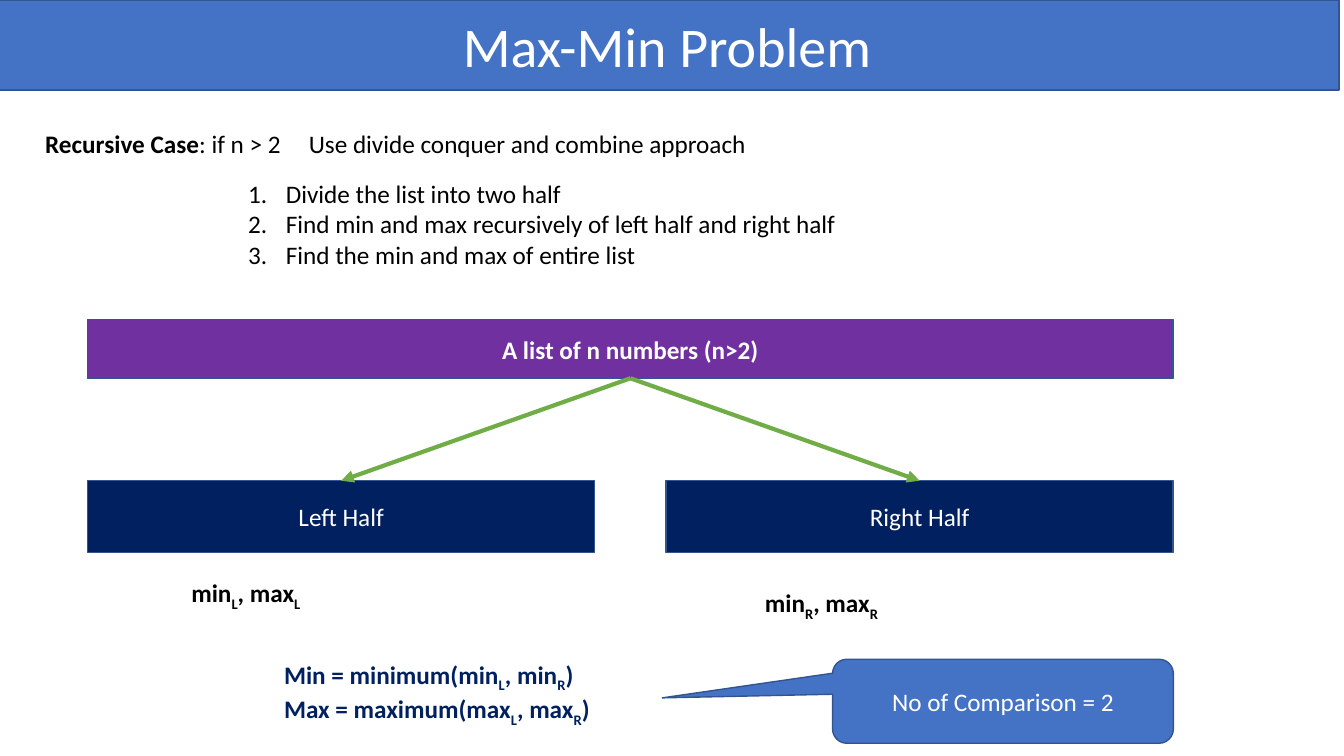
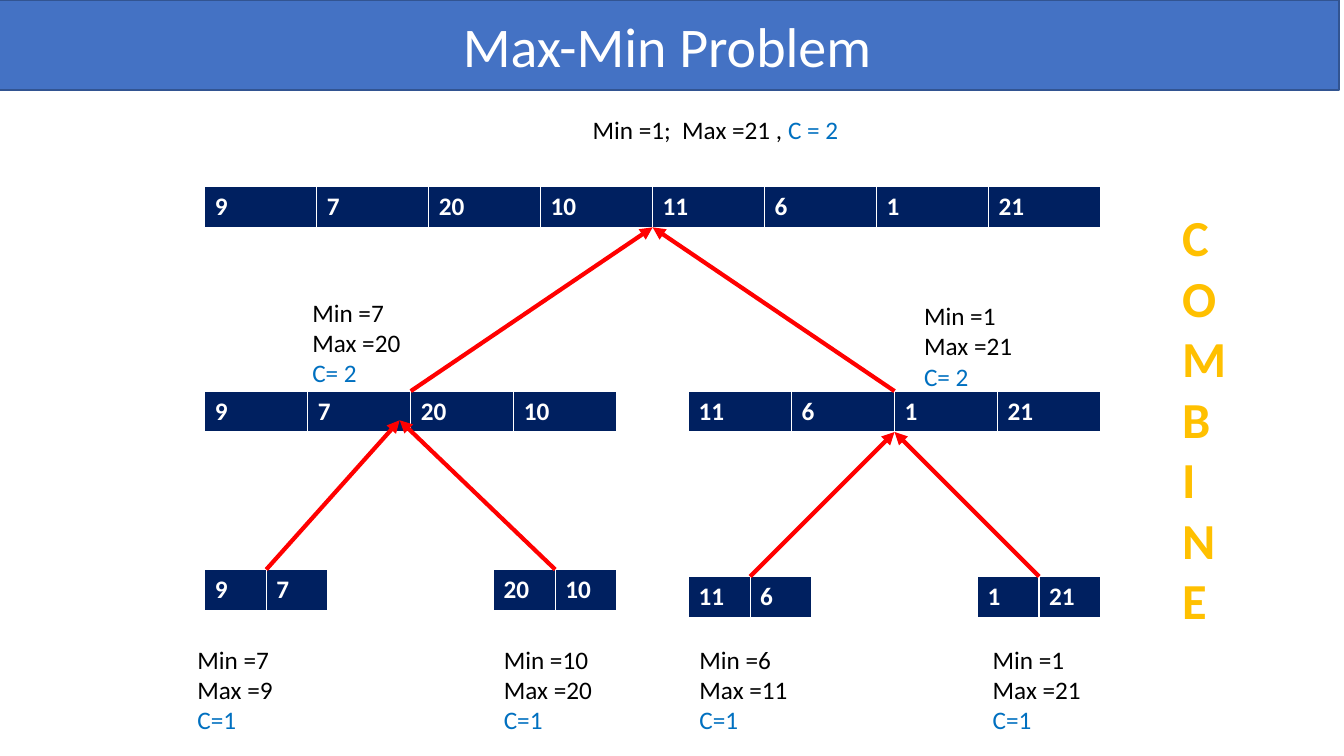
from dataclasses import dataclass

from lxml.etree import SubElement
from pptx import Presentation
from pptx.dml.color import RGBColor
from pptx.enum.shapes import MSO_CONNECTOR, MSO_SHAPE
from pptx.enum.text import MSO_ANCHOR, MSO_AUTO_SIZE, PP_ALIGN
from pptx.oxml.ns import qn
from pptx.util import Pt

BLUE = RGBColor(0x44, 0x72, 0xC4)
EDGE = RGBColor(0x32, 0x54, 0x91)
NAVY = RGBColor(0x00, 0x20, 0x60)
PURPLE = RGBColor(0x70, 0x30, 0xA0)
GREEN = RGBColor(0x70, 0xAD, 0x47)
RED = RGBColor(0xFF, 0x00, 0x00)
GOLD = RGBColor(0xFF, 0xC0, 0x00)
COUNT = RGBColor(0x00, 0x70, 0xC0)
BLACK = RGBColor(0x00, 0x00, 0x00)
WHITE = RGBColor(0xFF, 0xFF, 0xFF)
FONT = "Calibri"
SLIDE_W, SLIDE_H = 960, 540
ROW_H = 29.2
Point = tuple[float, float]


@dataclass(frozen=True)
class Run:
    """A stretch of text that departs from its paragraph's format."""
    text: str
    color: RGBColor | None = None
    bold: bool | None = None
    sub: bool = False


@dataclass(frozen=True)
class Box:
    """A rectangle in points."""
    x: float
    y: float
    w: float
    h: float

    @property
    def top(self) -> Point:
        """Middle of the upper edge."""
        return self.x + self.w / 2, self.y

    @property
    def bottom(self) -> Point:
        """Middle of the lower edge."""
        return self.x + self.w / 2, self.y + self.h

    def lengths(self) -> tuple:
        """Position and size as lengths."""
        return Pt(self.x), Pt(self.y), Pt(self.w), Pt(self.h)


@dataclass(frozen=True)
class Node:
    """One list of numbers in the recursion tree."""
    x: float
    y: float
    col_w: float
    values: tuple[int, ...]

    @property
    def box(self) -> Box:
        """The area its table covers."""
        return Box(self.x, self.y, self.col_w * len(self.values), ROW_H)


@dataclass(frozen=True)
class Result:
    """The minimum, maximum and comparison count beside a node."""
    x: float
    y: float
    low: int
    high: int
    count: str


def write(tf, paras: list, *, size: float = 18, color: RGBColor = BLACK,
          bold: bool = False, align: PP_ALIGN | None = None) -> None:
    """Fill a text frame with paragraphs of strings or runs."""
    tf.word_wrap = True
    for i, para in enumerate(paras):
        p = tf.paragraphs[0] if i == 0 else tf.add_paragraph()
        p.space_before = Pt(0)
        if align is not None:
            p.alignment = align
        for part in [para] if isinstance(para, str) else para:
            part = Run(part) if isinstance(part, str) else part
            r = p.add_run()
            r.text = part.text
            r.font.name = FONT
            r.font.size = Pt(size)
            r.font.bold = bold if part.bold is None else part.bold
            r.font.color.rgb = part.color or color
            if part.sub:
                r.font._element.set("baseline", "-25000")


def add_text(s, box: Box, paras: list, **fmt):
    """Add a text box and return its frame."""
    tf = s.shapes.add_textbox(*box.lengths()).text_frame
    write(tf, paras, **fmt)
    return tf


def paint(sp, fill: RGBColor) -> None:
    """Give a shape its fill and the shared outline."""
    sp.fill.solid()
    sp.fill.fore_color.rgb = fill
    sp.line.color.rgb = EDGE
    sp.line.width = Pt(1)


def add_box(s, box: Box, text: str, fill: RGBColor, *, bold: bool = False,
            kind: MSO_SHAPE = MSO_SHAPE.RECTANGLE):
    """Add a filled shape with centred text."""
    sp = s.shapes.add_shape(kind, *box.lengths())
    sp.shadow.inherit = False
    paint(sp, fill)
    sp.text_frame.vertical_anchor = MSO_ANCHOR.MIDDLE
    write(sp.text_frame, [text], color=WHITE, bold=bold, align=PP_ALIGN.CENTER)
    return sp


def add_arrow(s, start: Point, end: Point, color: RGBColor) -> None:
    """Add a straight arrow between two points."""
    cx = s.shapes.add_connector(MSO_CONNECTOR.STRAIGHT, *map(Pt, start + end))
    cx.line.color.rgb = color
    cx.line.width = Pt(3)
    SubElement(cx.line._get_or_add_ln(), qn("a:tailEnd"), type="triangle")
    SubElement(cx._element.spPr, qn("a:effectLst"))


def add_node(s, node: Node) -> None:
    """Draw a node as a one-row table."""
    frame = s.shapes.add_table(1, len(node.values), *node.box.lengths())
    table = frame.table
    for col, cell, value in zip(table.columns, table.rows[0].cells, node.values):
        col.width = Pt(node.col_w)
        cell.fill.solid()
        cell.fill.fore_color.rgb = NAVY
        write(cell.text_frame, [str(value)], color=WHITE, bold=True)


def add_result(s, res: Result) -> None:
    """Write the result of one call."""
    add_text(s, Box(res.x, res.y, 100, 72.7),
             [f"Min ={res.low}", f"Max ={res.high}", [Run(res.count, COUNT)]])


def place(sp, box: Box) -> None:
    """Move and size a placeholder."""
    sp.left, sp.top, sp.width, sp.height = box.lengths()
    sp.text_frame.auto_size = MSO_AUTO_SIZE.NONE


def new_slide(prs, layout: int):
    """Add a slide with the shared title band."""
    s = prs.slides.add_slide(prs.slide_layouts[layout])
    title = s.shapes.title
    place(title, Box(-3.6, 0, SLIDE_W, 64.4))
    paint(title, BLUE)
    title.text_frame.vertical_anchor = MSO_ANCHOR.MIDDLE
    write(title.text_frame, ["Max-Min Problem"], size=40, color=WHITE,
          align=PP_ALIGN.CENTER)
    return s


def pair(first: str, second: str, left: str, right: str) -> list:
    """Two names with subscripts, separated by a comma."""
    return [first, Run(left, sub=True), f", {second}", Run(right, sub=True)]


def recursion_slide(prs) -> None:
    """Explain the recursive case."""
    s = new_slide(prs, 1)
    tf = add_text(s, Box(25.2, 87.8, 740, 30), [
        [Run("Recursive Case", bold=True),
         ": if n > 2\tUse divide conquer and combine approach"]])
    tabs = SubElement(tf.paragraphs[0]._p.get_or_add_pPr(), qn("a:tabLst"))
    SubElement(tabs, qn("a:tab"), pos=str(Pt(188.3)), algn="l")

    body = s.placeholders[1]
    place(body, Box(170, 123.8, 579, 72.7))
    write(body.text_frame, [
        "Divide the list into two half",
        "Find min and max recursively of left half and right half",
        "Find the min and max of entire list"])
    for p in body.text_frame.paragraphs:
        pPr = p._p.get_or_add_pPr()
        pPr.set("marL", str(Pt(27)))
        pPr.set("indent", str(-Pt(27)))
        SubElement(pPr, qn("a:buFont"), typeface="+mj-lt")
        SubElement(pPr, qn("a:buAutoNum"), type="arabicPeriod")

    whole = Box(62.6, 228.4, 775.4, 41.8)
    half_w = 362.2
    add_box(s, whole, "A list of n numbers (n>2)", PURPLE, bold=True)
    halves = {"Left Half": whole.x, "Right Half": whole.x + whole.w - half_w}
    for text, x in halves.items():
        half = Box(x, 343.4, half_w, 51.1)
        add_box(s, half, text, NAVY)
        add_arrow(s, whole.bottom, half.top, GREEN)

    for side, x, y in (("L", 129.6, 409), ("R", 539.3, 416.2)):
        add_text(s, Box(x, y, 200, 29), [pair("min", "max", side, side)], bold=True)
    add_text(s, Box(195.8, 467.3, 325, 51), [
        [f"{name} = {call}(", *pair(arg, arg, "L", "R"), ")"]
        for name, call, arg in (("Min", "minimum", "min"), ("Max", "maximum", "max"))
    ], color=NAVY, bold=True)
    callout = add_box(s, Box(594.7, 470.9, 243.4, 60), "No of Comparison = 2", BLUE,
                      kind=MSO_SHAPE.ROUNDED_RECTANGULAR_CALLOUT)
    for i, value in enumerate((-1, -0.04, 0.17)):
        callout.adjustments[i] = value


def combine_slide(prs) -> None:
    """Show the results travelling up the recursion tree."""
    s = new_slide(prs, 5)
    values = (9, 7, 20, 10, 11, 6, 1, 21)
    left_x, right_x, half_col, leaf_col = 146.2, 491.8, 73.6, 44
    inner = half_col * 4 - leaf_col * 2
    root = Node(left_x, 133.2, 80, values)
    left = Node(left_x, 279.4, half_col, values[:4])
    right = Node(right_x, 279.4, half_col, values[4:])
    leaves = [Node(x + dx, y, leaf_col, values[i:i + 2])
              for i, (x, dx, y) in zip(range(0, 8, 2), (
                  (left_x, 0, 406.8), (left_x, inner, 406.8),
                  (right_x, 0, 411.8), (right_x, inner, 411.8)))]
    for node in (root, left, right, *leaves):
        add_node(s, node)

    left_tip = (285.5, 300.2)
    tips = [root.box.bottom] * 2 + [left_tip] * 2 + [right.box.bottom] * 2
    for node, tip in zip((left, right, *leaves), tips):
        add_arrow(s, node.box.top, tip, RED)

    add_text(s, Box(837.4, 144, 67.7, 312.5), list("COMBINE"),
             size=36, color=GOLD, bold=True)
    for res in (Result(133.9, 456.5, 7, 9, "C=1"),
                Result(352.8, 456.5, 10, 20, "C=1"),
                Result(492.5, 456.5, 6, 11, "C=1"),
                Result(702, 456.5, 1, 21, "C=1"),
                Result(653, 211, 1, 21, "C= 2"),
                Result(216, 208.8, 7, 20, "C= 2")):
        add_result(s, res)
    add_text(s, Box(416.2, 77.8, 273, 29),
             [["Min =1;  Max =21 , ", Run("C = 2", COUNT)]])


def main() -> None:
    """Build and save the presentation."""
    prs = Presentation()
    prs.slide_width, prs.slide_height = Pt(SLIDE_W), Pt(SLIDE_H)
    recursion_slide(prs)
    combine_slide(prs)
    prs.save("out.pptx")


if __name__ == "__main__":
    main()
